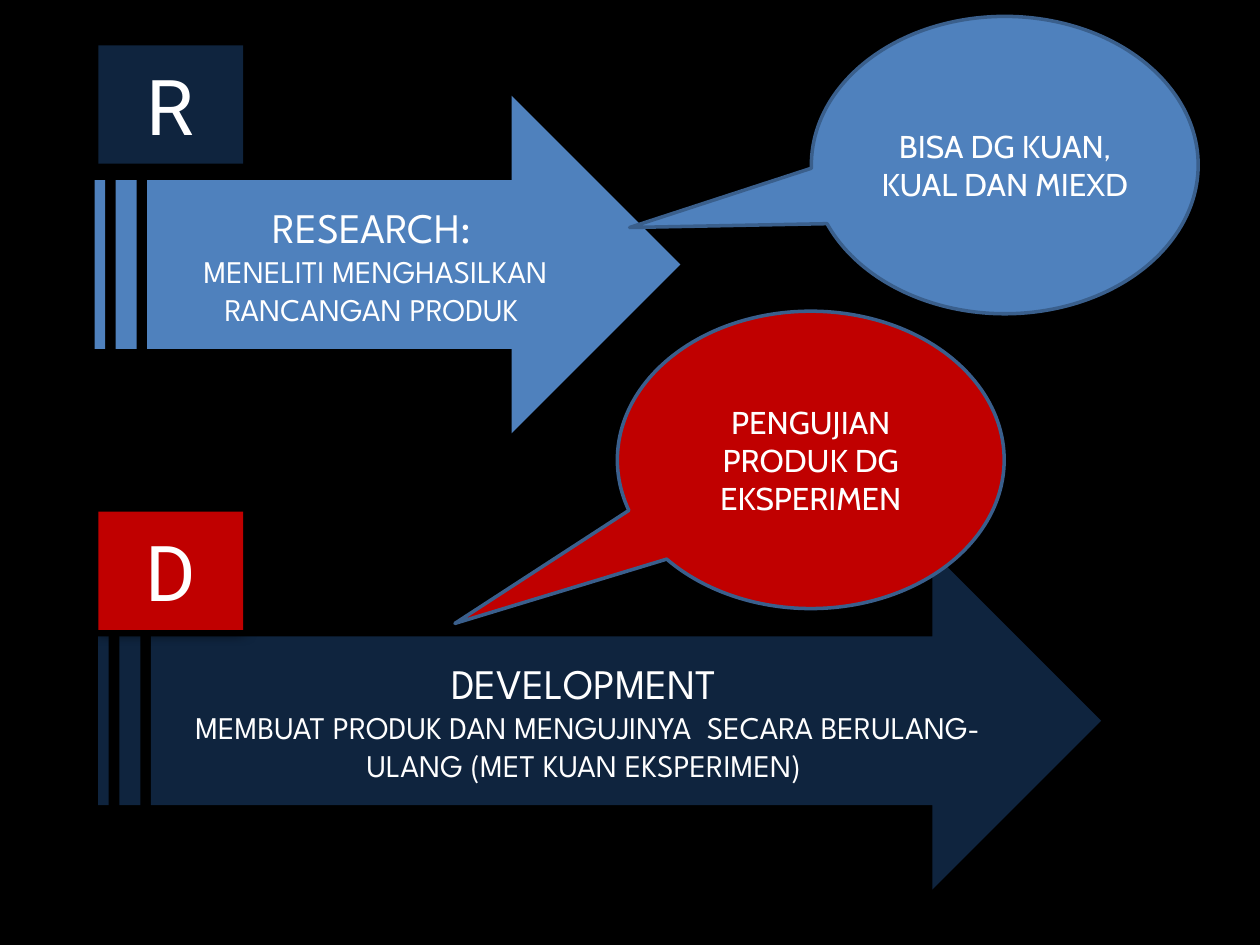
from lxml import etree
from pptx import Presentation
from pptx.dml.color import RGBColor
from pptx.enum.shapes import MSO_SHAPE
from pptx.enum.text import MSO_ANCHOR, PP_ALIGN
from pptx.oxml.ns import qn
from pptx.util import Inches, Pt

ARROW = MSO_SHAPE.STRIPED_RIGHT_ARROW
CALLOUT = MSO_SHAPE.OVAL_CALLOUT
SQUARE = MSO_SHAPE.RECTANGLE
MIDDLE = MSO_ANCHOR.MIDDLE
CENTER = PP_ALIGN.CENTER
BLUE, NAVY, RED = "4F81BD", "0F243E", "C00000"
OUTLINE, WHITE, BLACK = "3A5F8C", "FFFFFF", "000000"

deck = Presentation()
deck.slide_width, deck.slide_height = Inches(10), Inches(7.5)
column, row = deck.slide_width / 100, deck.slide_height / 100
page = deck.slides.add_slide(deck.slide_layouts[6])


def paint(fill, color):
    fill.solid()
    fill.fore_color.rgb = RGBColor.from_string(color)


def add_box(kind, place, color, font, lines):
    left, top, width, height = place
    box = page.shapes.add_shape(kind, round(left * column), round(top * row),
                                round(width * column), round(height * row))
    box.shadow.inherit = False
    paint(box.fill, color)
    box.line.fill.background()
    frame = box.text_frame
    frame.word_wrap = True
    frame.vertical_anchor = MIDDLE
    frame.text = "\n".join(text for text, size in lines)
    for para, (text, size) in zip(frame.paragraphs, lines):
        para.alignment = CENTER
        for span in para.runs:
            span.font.name = font
            span.font.size = Pt(size)
            paint(span.font.fill, WHITE)
    return box


paint(page.background.fill, BLACK)

arrows = [
    (7.5, 10.13, 46.5, BLUE, "RESEARCH:", " MENELITI MENGHASILKAN RANCANGAN PRODUK"),
    (7.8, 58.4, 79.6, NAVY, "DEVELOPMENT",
     " MEMBUAT PRODUK DAN MENGUJINYA  SECARA BERULANG-ULANG (MET KUAN EKSPERIMEN)"),
]
callouts = [
    (64.4, 1.73, BLUE, (-0.97, 0.21), "BISA DG KUAN, KUAL DAN MIEXD"),
    (49, 32.93, RED, (-0.92, 0.55), "PENGUJIAN PRODUK DG EKSPERIMEN"),
]
letters = [(4.8, NAVY, "R"), (54.13, RED, "D")]

shaded = []
for left, top, width, color, heading, detail in arrows:
    shaded.append(add_box(ARROW, (left, top, width, 35.73), color, "League Spartan",
                          [(heading, 24), (detail, 18)]))

for left, top, color, tip, text in callouts:
    callout = add_box(CALLOUT, (left, top, 30.7, 31.47), color, "Cabin", [(text, 18)])
    callout.adjustments[0], callout.adjustments[1] = tip
    paint(callout.line.fill, OUTLINE)
    callout.line.width = Pt(2)

for top, color, letter in letters:
    shaded.append(add_box(SQUARE, (7.8, top, 11.5, 12.53), color, "Roboto", [(letter, 44)]))

for box in shaded:
    effects = box._element.spPr.find(qn("a:effectLst"))
    shadow = etree.SubElement(effects, qn("a:outerShdw"), blurRad=str(Pt(8.5)),
                              dist=str(Pt(1)), dir="5400000", rotWithShape="0")
    etree.SubElement(shadow, qn("a:srgbClr"), val=BLACK)

deck.save("out.pptx")
